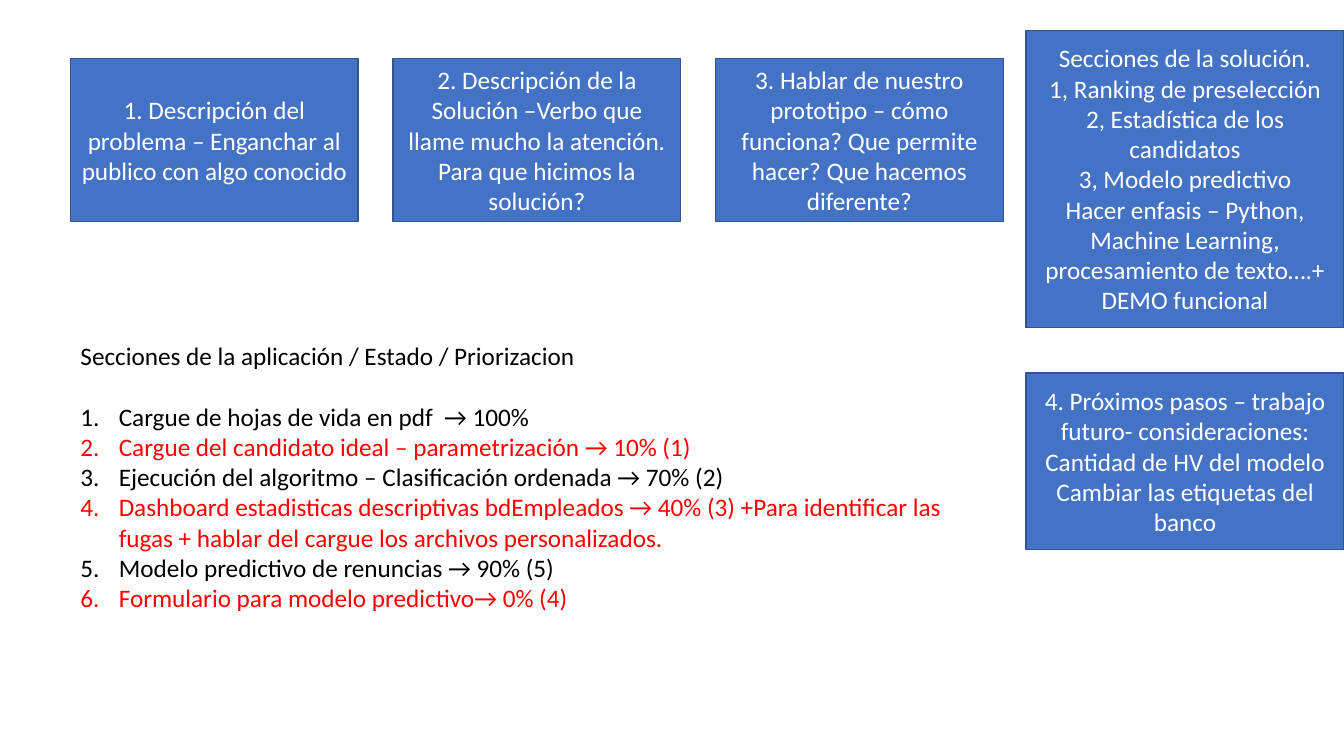
from pptx import Presentation
from pptx.dml.color import RGBColor
from pptx.enum.shapes import MSO_SHAPE as SHAPE
from pptx.enum.text import MSO_ANCHOR as ANCHOR, MSO_AUTO_SIZE as AUTO, PP_ALIGN as ALIGN
from pptx.oxml.xmlchemy import OxmlElement
from pptx.util import Inches, Pt

BLUE = RGBColor(0x44, 0x72, 0xC4)
NAVY = RGBColor(0x32, 0x54, 0x91)
WHITE = RGBColor(0xFF, 0xFF, 0xFF)
BLACK = RGBColor(0x00, 0x00, 0x00)
RED = RGBColor(0xFF, 0x00, 0x00)

STEPS = [
    ["1. Descripción del problema – Enganchar al publico con algo conocido"],
    ["2. Descripción de la", "Solución –Verbo que llame mucho la atención.",
     "Para que hicimos la solución?"],
    ["3. Hablar de nuestro prototipo – cómo funciona? Que permite hacer? "
     "Que hacemos diferente?"],
]
SOLUTION = [
    "Secciones de la solución.", "1, Ranking de preselección",
    "2, Estadística de los candidatos", "3, Modelo predictivo",
    "Hacer enfasis – Python, Machine Learning, procesamiento de texto….+ DEMO funcional",
]
NEXT_STEPS = [
    "4. Próximos pasos – trabajo futuro- consideraciones:",
    "Cantidad de HV del modelo", "Cambiar las etiquetas del banco",
]
SECTIONS = [
    ("Cargue de hojas de vida en pdf  → 100%", BLACK),
    ("Cargue del candidato ideal – parametrización → 10% (1)", RED),
    ("Ejecución del algoritmo – Clasificación ordenada → 70% (2)", BLACK),
    ("Dashboard estadisticas descriptivas bdEmpleados → 40% (3) +Para identificar "
     "las fugas + hablar del cargue los archivos personalizados.", RED),
    ("Modelo predictivo de renuncias → 90% (5)", BLACK),
    ("Formulario para modelo predictivo→ 0% (4)", RED),
]


class Deck:
    """Style and current slide; lengths are percentages of the slide's size."""
    font, size, indent = "Calibri", Pt(18), Inches(0.38)

    def __init__(self):
        self.prs = Presentation()
        self.prs.slide_width, self.prs.slide_height = Inches(13.33), Inches(7.5)
        self.slide = self.prs.slides.add_slide(self.prs.slide_layouts[6])

    def area(self, x, y, w, h):
        sw, sh = self.prs.slide_width, self.prs.slide_height
        return [int(v * total / 100) for v, total in ((x, sw), (y, sh), (w, sw), (h, sh))]

    def add_lines(self, tf, lines, align):
        """Fill a frame with (text, colour) pairs, one paragraph each."""
        tf.word_wrap = True
        for i, (text, color) in enumerate(lines):
            p = tf.add_paragraph() if i else tf.paragraphs[0]
            p.text, p.alignment = text, align
            p.font.name, p.font.size = self.font, self.size
            p.font.color.rgb = color

    def box(self, x, y, w, h, lines):
        s = self.slide.shapes.add_shape(SHAPE.RECTANGLE, *self.area(x, y, w, h))
        s.shadow.inherit = False
        s.fill.solid()
        s.fill.fore_color.rgb = BLUE
        s.line.color.rgb, s.line.width = NAVY, Pt(1)
        s.text_frame.vertical_anchor = ANCHOR.MIDDLE
        self.add_lines(s.text_frame, [(t, WHITE) for t in lines], ALIGN.CENTER)

    def numbered_list(self, x, y, w, h, heading, items):
        tf = self.slide.shapes.add_textbox(*self.area(x, y, w, h)).text_frame
        self.add_lines(tf, [(heading, BLACK)] + items, ALIGN.LEFT)
        tf.auto_size = AUTO.SHAPE_TO_FIT_TEXT
        tf.paragraphs[0].space_after = Pt(21.6)
        for p in tf.paragraphs[1:]:
            pPr = p._p.get_or_add_pPr()
            pPr.set("marL", str(self.indent))
            pPr.set("indent", str(-self.indent))
            number = OxmlElement("a:buAutoNum")
            number.set("type", "arabicPeriod")
            pPr.insert_element_before(number, "a:tabLst", "a:defRPr", "a:extLst")


def main():
    deck = Deck()
    left, pitch, side = 5.25, 24, 76.35

    # Presentation steps along the top
    for i, lines in enumerate(STEPS):
        deck.box(left + i * pitch, 7.73, 21.4, 21.6, lines)

    # Right column
    deck.box(side, 4, 100 - side, 39.33, SOLUTION)
    deck.box(side, 49.33, 100 - side, 23.33, NEXT_STEPS)

    # Application sections with their status
    deck.numbered_list(left, 44.4, 65.87, 37.73,
                       "Secciones de la aplicación / Estado / Priorizacion", SECTIONS)

    deck.prs.save("out.pptx")


if __name__ == "__main__":
    main()
